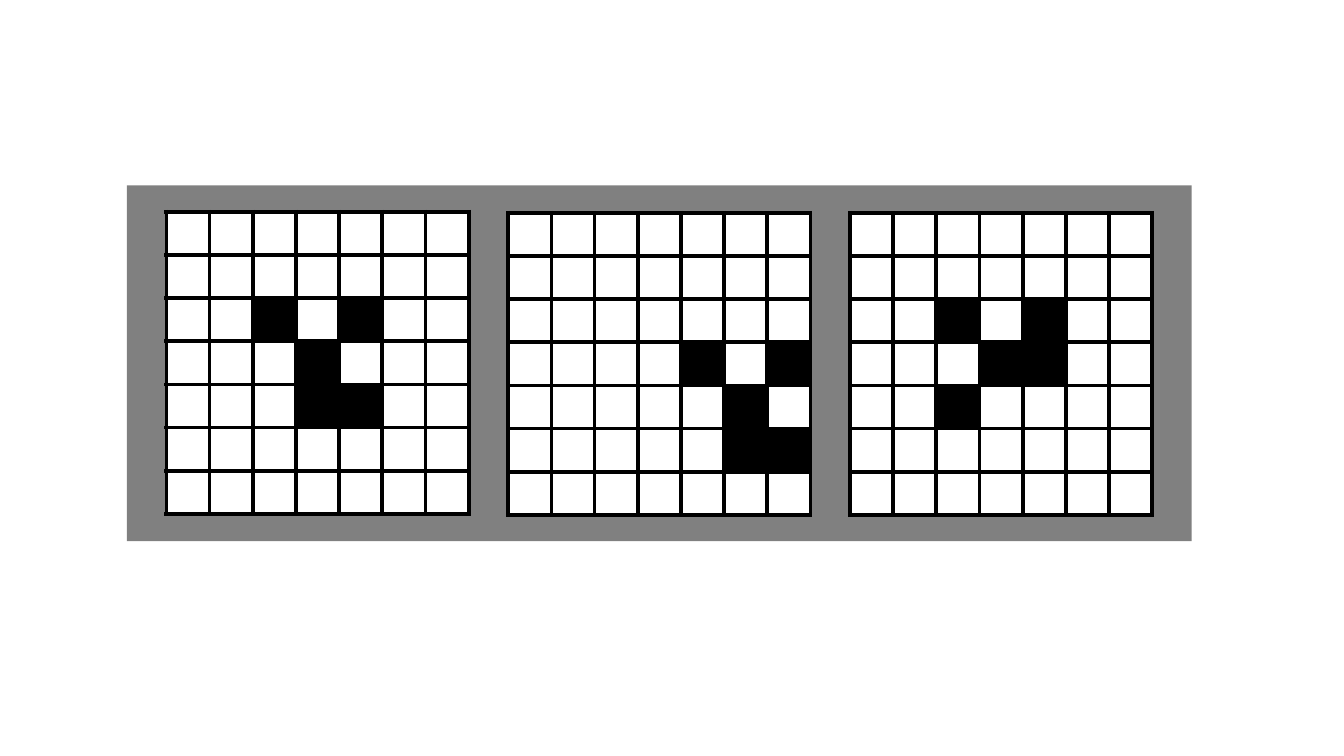
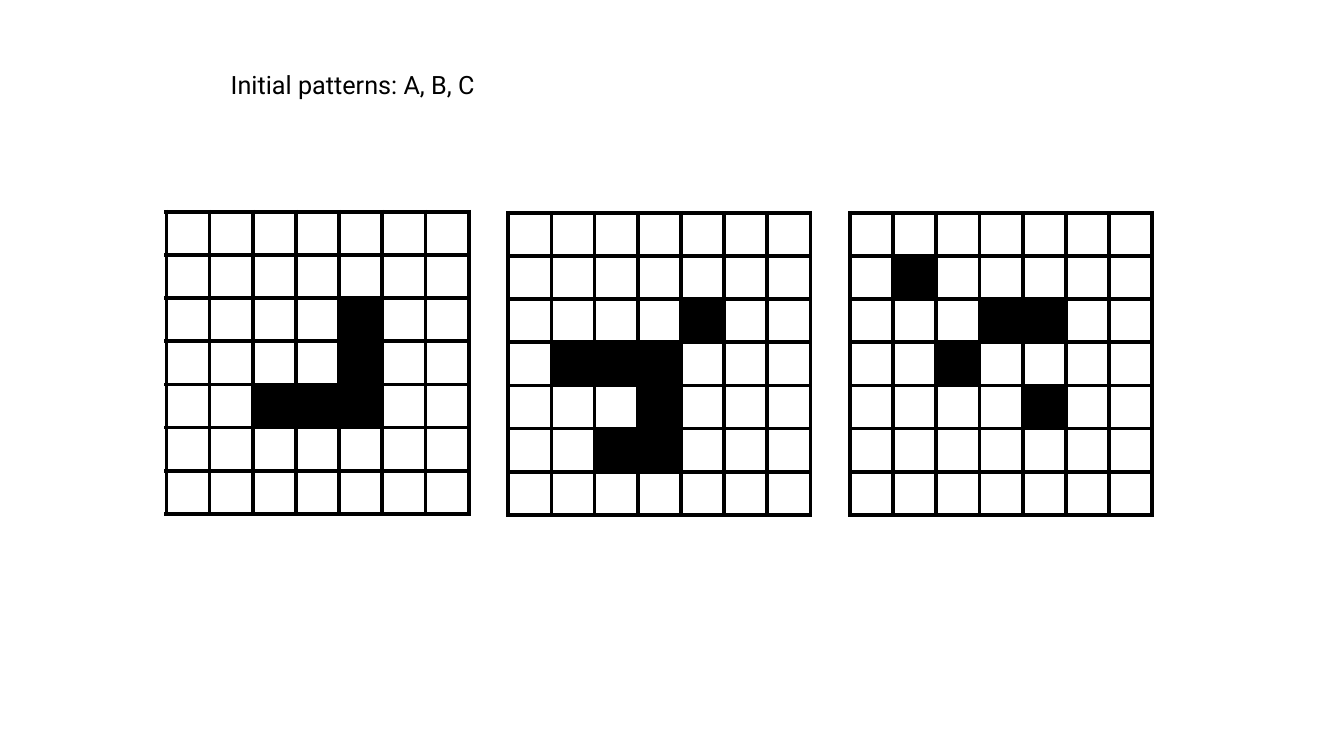
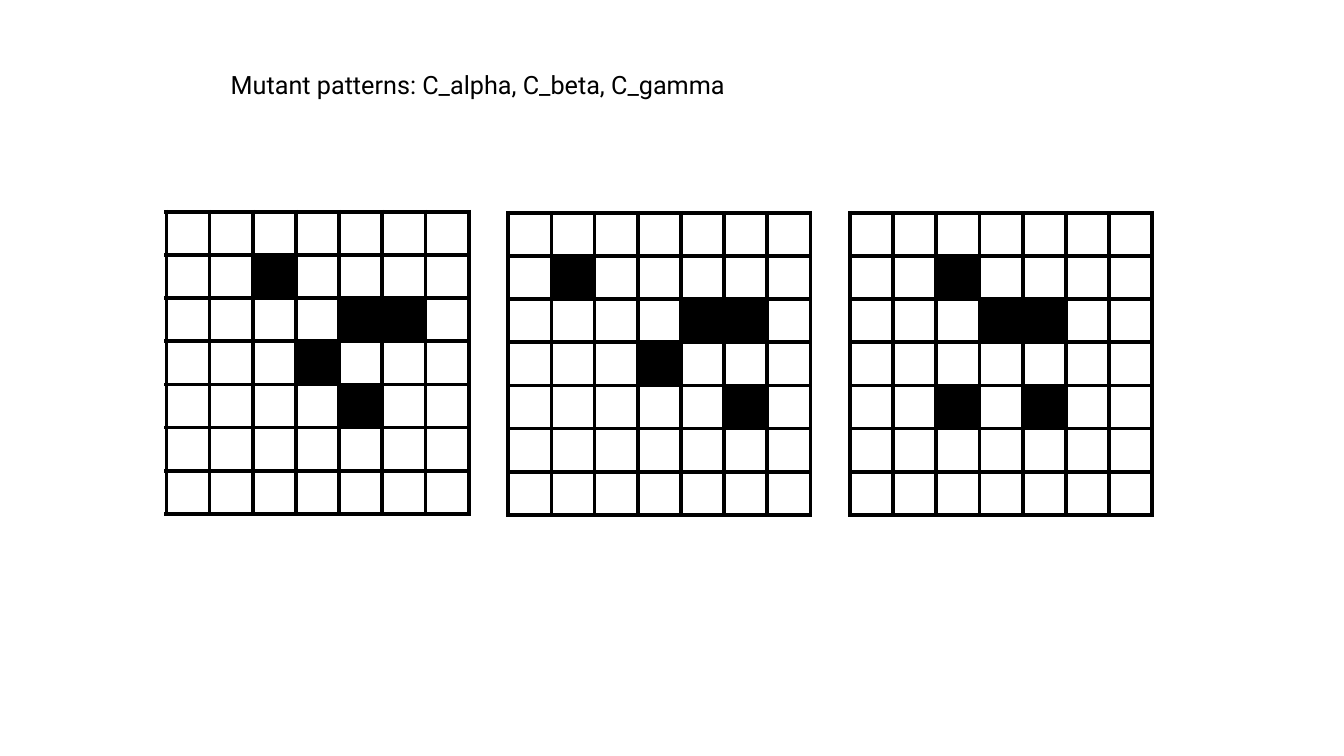
from dataclasses import dataclass

from lxml.etree import SubElement
from pptx import Presentation
from pptx.dml.color import RGBColor
from pptx.enum.shapes import MSO_SHAPE
from pptx.enum.text import MSO_AUTO_SIZE
from pptx.oxml.ns import qn
from pptx.util import Inches, Pt


@dataclass(frozen=True)
class Theme:
    live: str = "000000"
    dead: str = "FFFFFF"
    border: str = "000000"
    text: str = "000000"
    panel: str = "808080"
    font: str = "Roboto"
    title_size: int = 18
    border_width: int = 3


THEME = Theme()

GRID_SIZE = 7
GRID_SIDE = 3
FIRST_GRID_LEFT = 1.65
GRID_STEP = 3.39
GRID_TOPS = (2.1, 2.11, 2.11)
PANEL_AREA = (1.26, 1.84, 10.56, 3.53)

# Each pattern lists its live cells as (row, column), counted from zero.
SLIDES = [
    {
        "panel": True,
        "patterns": [
            [(2, 2), (2, 4), (3, 3), (4, 3), (4, 4)],
            [(3, 4), (3, 6), (4, 5), (5, 5), (5, 6)],
            [(2, 2), (2, 4), (3, 3), (3, 4), (4, 2)],
        ],
    },
    {
        "title": "Initial patterns: A, B, C",
        "title_width": 2.62,
        "patterns": [
            [(2, 4), (3, 4), (4, 2), (4, 3), (4, 4)],
            [(2, 4), (3, 1), (3, 2), (3, 3), (4, 3), (5, 2), (5, 3)],
            [(1, 1), (2, 3), (2, 4), (3, 2), (4, 4)],
        ],
    },
    {
        "title": "Mutant patterns: C_alpha, C_beta, C_gamma",
        "title_width": 5.12,
        "patterns": [
            [(1, 2), (2, 4), (2, 5), (3, 3), (4, 4)],
            [(1, 1), (2, 4), (2, 5), (3, 3), (4, 5)],
            [(1, 2), (2, 3), (2, 4), (4, 2), (4, 4)],
        ],
    },
]


def add_panel(page):
    panel = page.shapes.add_shape(MSO_SHAPE.RECTANGLE, *map(Inches, PANEL_AREA))
    panel.shadow.inherit = False
    panel.fill.solid()
    panel.fill.fore_color.rgb = RGBColor.from_string(THEME.panel)
    panel.line.fill.background()


def add_title(page, text, width):
    box = page.shapes.add_textbox(Inches(2.19), Inches(0.64), Inches(width), Inches(0.4))
    box.text_frame.word_wrap = False
    box.text_frame.auto_size = MSO_AUTO_SIZE.SHAPE_TO_FIT_TEXT
    span = box.text_frame.paragraphs[0].add_run()
    span.text = text
    span.font.name = THEME.font
    span.font.size = Pt(THEME.title_size)
    span.font.color.rgb = RGBColor.from_string(THEME.text)


def style_cell(cell, color):
    cell.margin_left = cell.margin_right = cell.margin_top = cell.margin_bottom = 0
    properties = cell._tc.get_or_add_tcPr()
    # Borders must come before the fill in the cell properties.
    for side in ("a:lnL", "a:lnR", "a:lnT", "a:lnB"):
        line = SubElement(properties, qn(side), w=str(Pt(THEME.border_width)))
        fill = SubElement(line, qn("a:solidFill"))
        SubElement(fill, qn("a:srgbClr"), val=THEME.border)
    cell.fill.solid()
    cell.fill.fore_color.rgb = RGBColor.from_string(color)


def add_grid(page, left, top, live_cells):
    side = Inches(GRID_SIDE)
    table = page.shapes.add_table(
        GRID_SIZE, GRID_SIZE, Inches(left), Inches(top), side, side
    ).table
    table.first_row = table.horz_banding = False
    for column in table.columns:
        column.width = side // GRID_SIZE
    for row_index, row in enumerate(table.rows):
        row.height = side // GRID_SIZE
        for column_index, cell in enumerate(row.cells):
            is_live = (row_index, column_index) in live_cells
            style_cell(cell, THEME.live if is_live else THEME.dead)


def main():
    deck = Presentation()
    deck.slide_width, deck.slide_height = Inches(13.33), Inches(7.5)
    for content in SLIDES:
        page = deck.slides.add_slide(deck.slide_layouts[6])
        if content.get("panel"):
            add_panel(page)
        for index, (top, pattern) in enumerate(zip(GRID_TOPS, content["patterns"])):
            add_grid(page, FIRST_GRID_LEFT + index * GRID_STEP, top, pattern)
        if "title" in content:
            add_title(page, content["title"], content["title_width"])
    deck.save("out.pptx")


if __name__ == "__main__":
    main()
